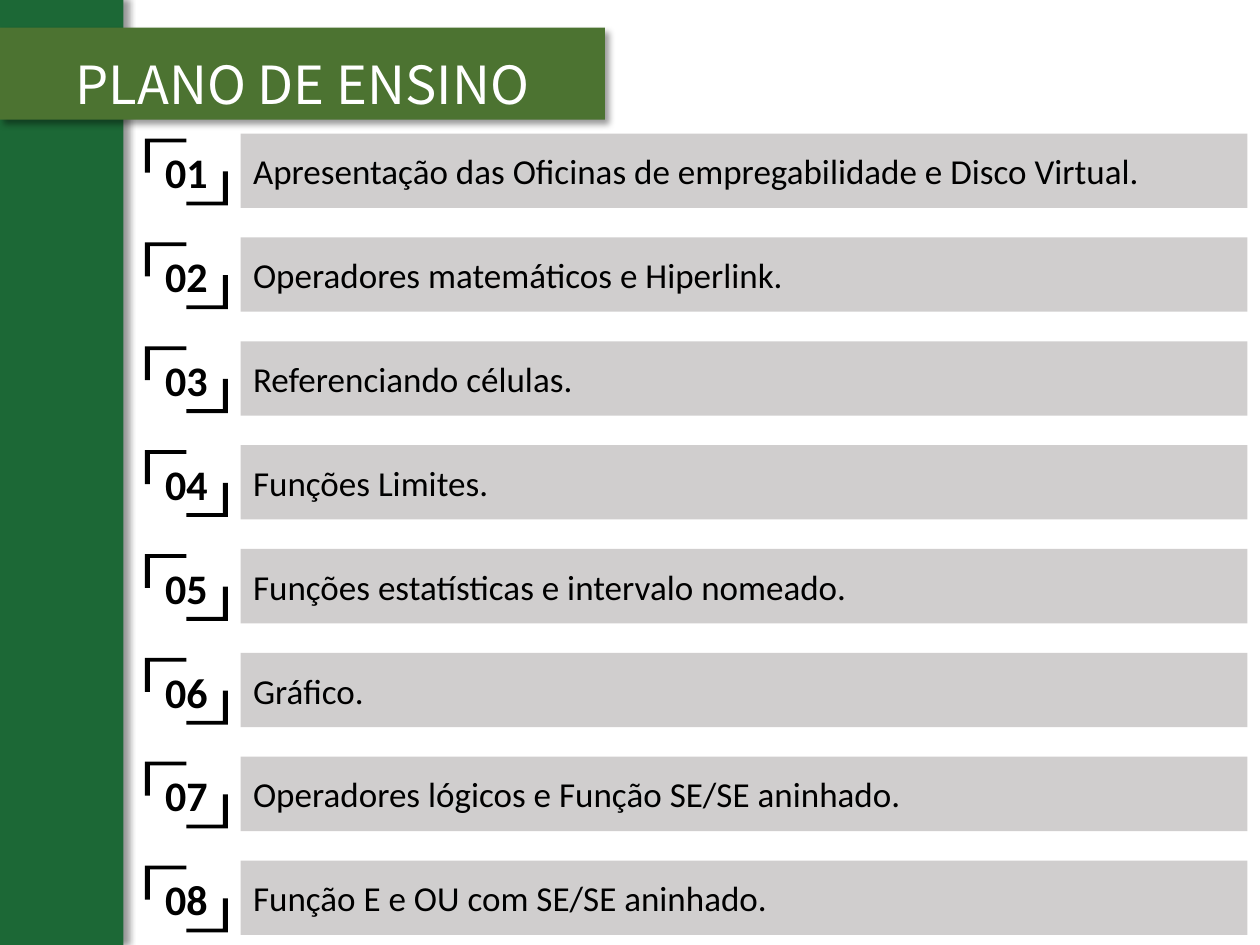
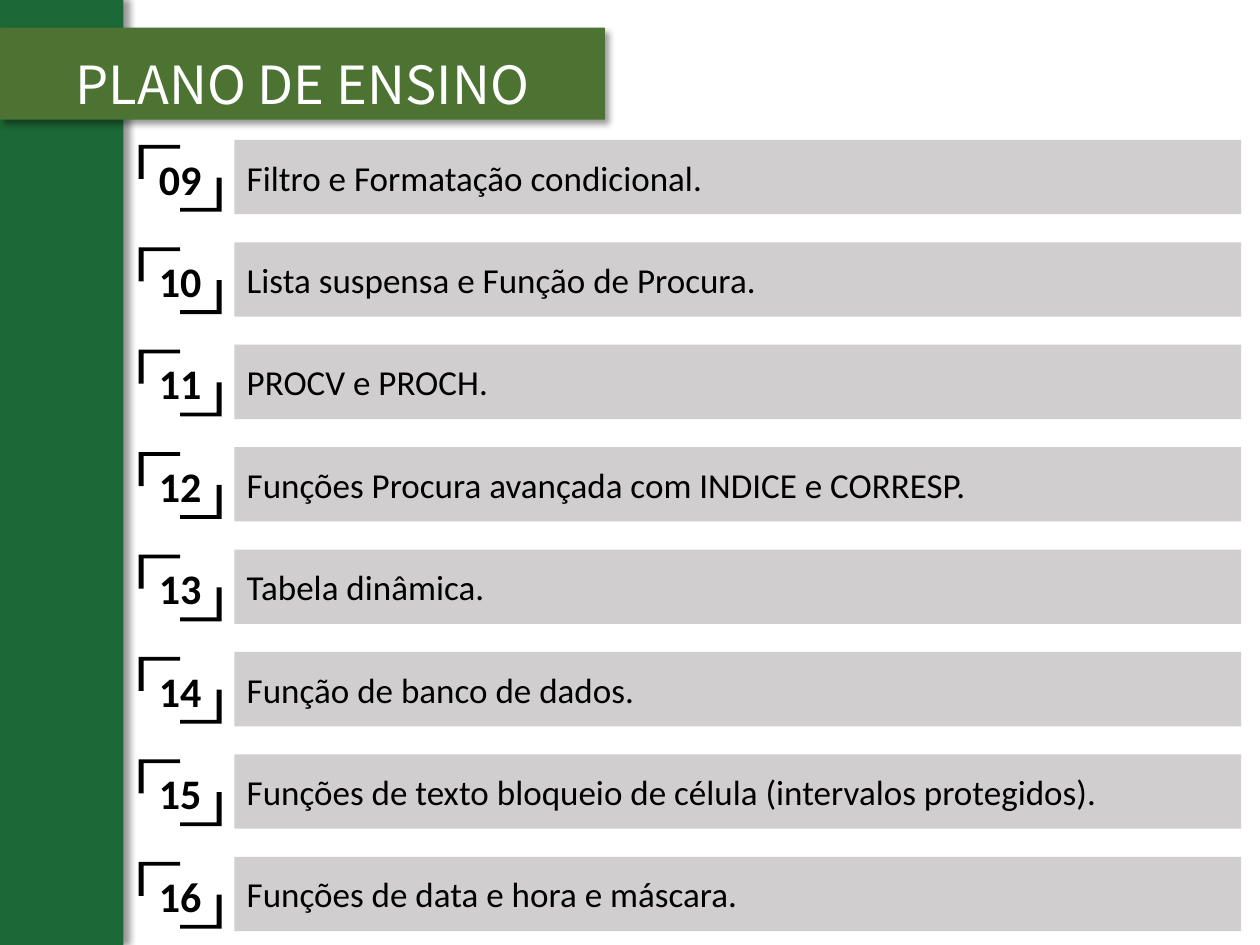
import pptx
import pptx.dml.color
import pptx.enum.shapes
import pptx.enum.text
import pptx.oxml.ns
import pptx.util
from lxml import etree

Inches = pptx.util.Inches
RECTANGLE = pptx.enum.shapes.MSO_SHAPE.RECTANGLE
ALIGN = pptx.enum.text.PP_ALIGN
ANCHOR = pptx.enum.text.MSO_ANCHOR

SIDE_GREEN = "1C6836"
TITLE_GREEN = "4C7331"
TOPIC_GRAY = "D0CECE"
BLACK = "000000"
WHITE = "FFFFFF"
BODY_FONT = "Calibri"
TITLE_FONT = "Noto Sans CJK SC"

TOPIC_WIDTH, TOPIC_HEIGHT = 7.99, 0.59
TOPIC_OFFSET = 0.76  # from the left of the number bracket
BRACKET_DROP = 0.04  # from the top of the topic bar

# Two opposite corners of the number bracket, in hundredths of an inch
UPPER_CORNER = [(0, 0), (33, 0), (33, 3), (4, 3), (4, 27), (0, 27)]
LOWER_CORNER = [(66 - x, 53 - y) for x, y in UPPER_CORNER]

# Left of the brackets, top of the first and last bars, first number, topics
PLANS = [
    (1.15, 1.06, 6.83, 1, [
        "Apresentação das Oficinas de empregabilidade e Disco Virtual.",
        "Operadores matemáticos e Hiperlink.",
        "Referenciando células.",
        "Funções Limites.",
        "Funções estatísticas e intervalo nomeado.",
        "Gráfico.",
        "Operadores lógicos e Função SE/SE aninhado.",
        "Função E e OU com SE/SE aninhado.",
    ]),
    (1.1, 1.11, 6.8, 9, [
        "Filtro e Formatação condicional.",
        "Lista suspensa e Função de Procura.",
        "PROCV e PROCH.",
        "Funções Procura avançada com INDICE e CORRESP.",
        "Tabela dinâmica.",
        "Função de banco de dados.",
        "Funções de texto bloqueio de célula (intervalos protegidos).",
        "Funções de data e hora e máscara.",
    ]),
]


def rgb(value):
    return pptx.dml.color.RGBColor.from_string(value)


def paint(shape, color):
    """Flat fill with neither outline nor shadow."""
    shape.fill.solid()
    shape.fill.fore_color.rgb = rgb(color)
    shape.line.fill.background()
    if hasattr(shape, "shadow"):
        shape.shadow.inherit = False


def cast_shadow(shape, angle):
    qn = pptx.oxml.ns.qn
    effects = shape.element.spPr.find(qn("a:effectLst"))
    shadow = etree.SubElement(
        effects, qn("a:outerShdw"), blurRad=str(pptx.util.Pt(4)),
        dist=str(pptx.util.Pt(3)), dir=str(angle * 60000),
        algn="tl", rotWithShape="0")
    color = etree.SubElement(shadow, qn("a:srgbClr"), val=BLACK)
    etree.SubElement(color, qn("a:alpha"), val="40000")


def write(shape, text, size, color, align, font=BODY_FONT, bold=False,
          anchor=ANCHOR.MIDDLE, insets=(0.1, 0.05)):
    frame = shape.text_frame
    frame.text = text
    frame.word_wrap = True
    frame.vertical_anchor = anchor
    frame.margin_left = frame.margin_right = Inches(insets[0])
    frame.margin_top = frame.margin_bottom = Inches(insets[1])
    paragraph = frame.paragraphs[0]
    paragraph.alignment = align
    run_font = paragraph.runs[0].font
    run_font.name = font
    run_font.size = pptx.util.Pt(size)
    run_font.bold = bold
    run_font.color.rgb = rgb(color)


def add_heading(slide, text):
    """Title band over the green side band."""
    title = slide.shapes.title
    title.left, title.top = Inches(0), Inches(0.22)
    title.width, title.height = Inches(4.8), Inches(0.73)
    paint(title, TITLE_GREEN)
    cast_shadow(title, 45)
    write(title, text, 30, WHITE, ALIGN.CENTER, TITLE_FONT,
          anchor=ANCHOR.TOP, insets=(0.07, 0.04))
    title.text_frame.auto_size = pptx.enum.text.MSO_AUTO_SIZE.NONE
    title.text_frame.paragraphs[0].line_spacing = 1.3

    side_band = slide.shapes.add_shape(
        RECTANGLE, Inches(0), Inches(0), Inches(0.98), Inches(7.5))
    paint(side_band, SIDE_GREEN)
    cast_shadow(side_band, 0)
    title.element.addprevious(side_band.element)


def add_number(shapes, number, left, top):
    outline = shapes.build_freeform(*LOWER_CORNER[0], scale=Inches(0.01))
    outline.add_line_segments(LOWER_CORNER[1:], close=True)
    outline.move_to(*UPPER_CORNER[0])
    outline.add_line_segments(UPPER_CORNER[1:], close=True)
    bracket = outline.convert_to_shape(Inches(left), Inches(top))
    paint(bracket, BLACK)
    write(bracket, f"{number:02}", 24, BLACK, ALIGN.CENTER, bold=True,
          insets=(0.08, 0.04))


def add_topic(slide, number, topic, left, top):
    shapes = slide.shapes.add_group_shape().shapes
    add_number(shapes, number, left, top + BRACKET_DROP)
    bar = shapes.add_shape(
        RECTANGLE, Inches(left + TOPIC_OFFSET), Inches(top),
        Inches(TOPIC_WIDTH), Inches(TOPIC_HEIGHT))
    paint(bar, TOPIC_GRAY)
    write(bar, topic, 20, BLACK, ALIGN.LEFT)


def main():
    deck = pptx.Presentation()
    deck.slide_width, deck.slide_height = Inches(10), Inches(7.5)
    for left, first_top, last_top, first_number, topics in PLANS:
        slide = deck.slides.add_slide(deck.slide_layouts[5])
        add_heading(slide, "PLANO DE ENSINO")
        pitch = (last_top - first_top) / (len(topics) - 1)
        for row, topic in enumerate(topics):
            add_topic(slide, first_number + row, topic, left,
                      first_top + row * pitch)
    deck.save("out.pptx")


if __name__ == "__main__":
    main()
